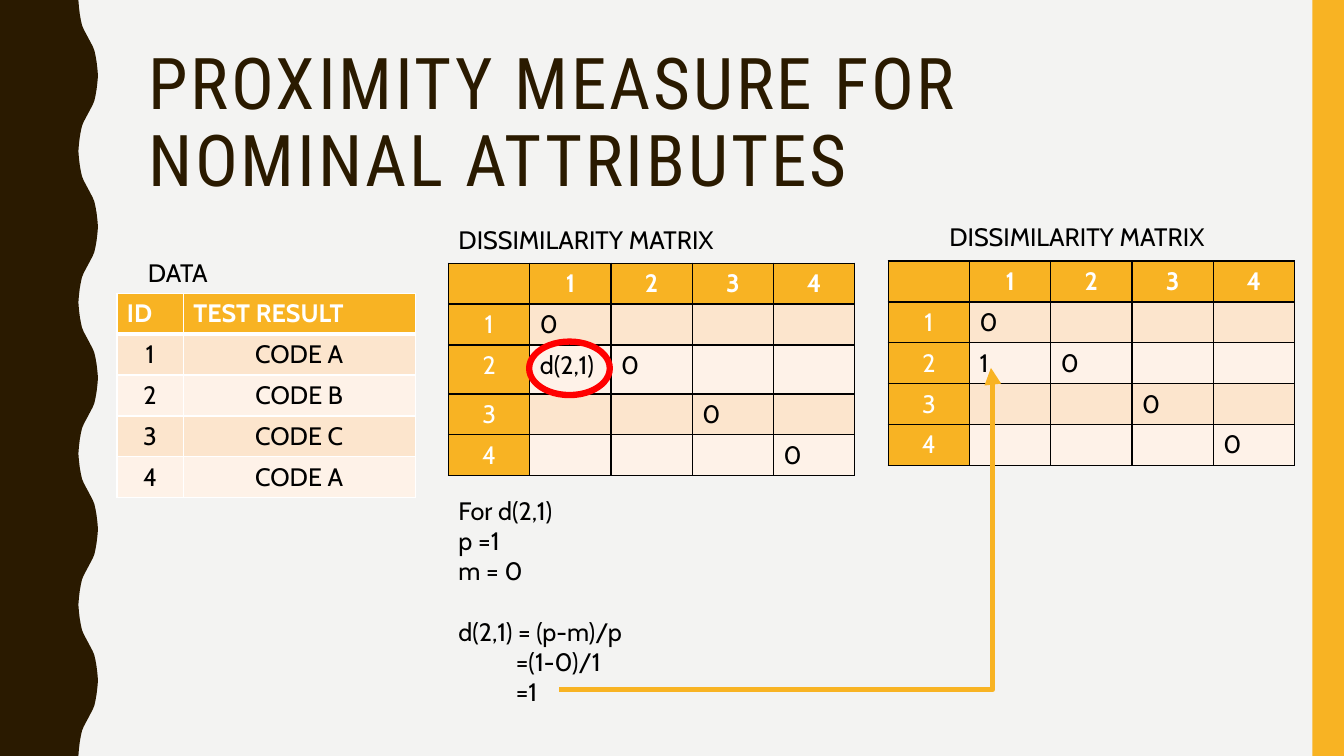
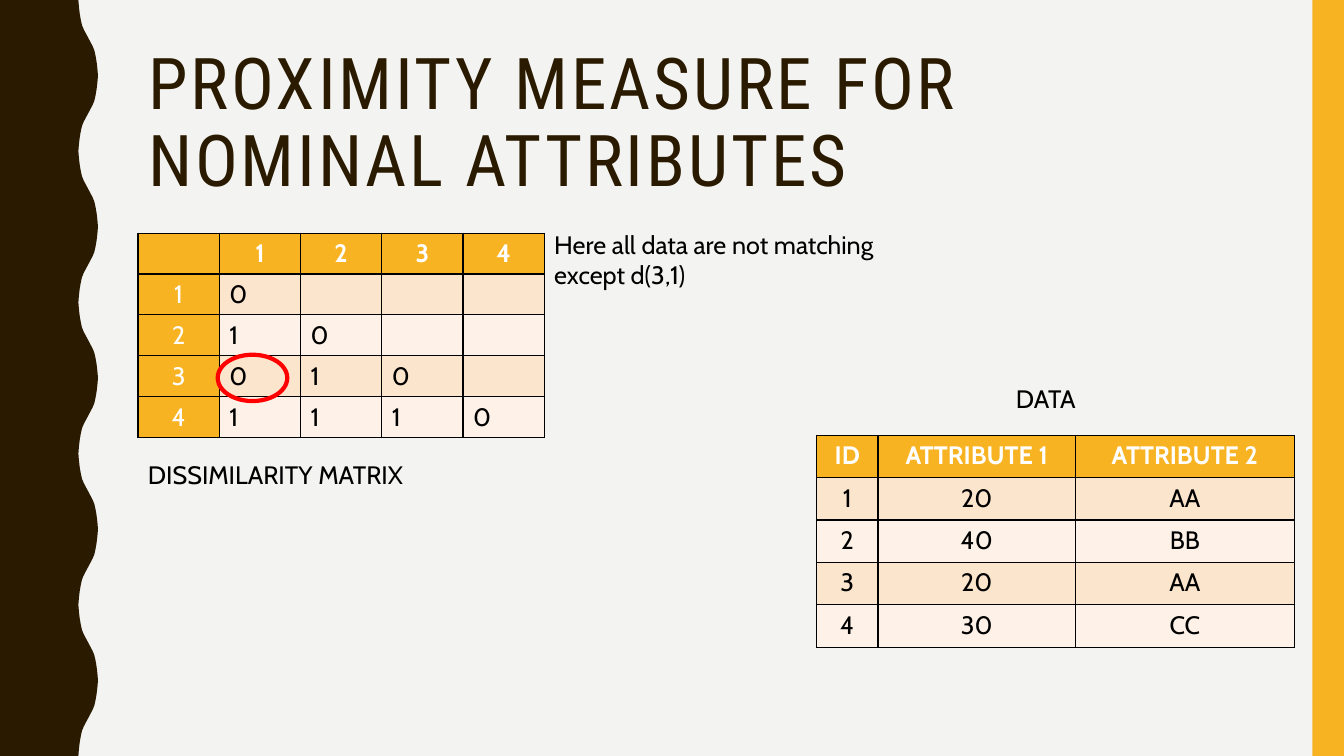
from dataclasses import dataclass

import pptx
import pptx.dml.color
import pptx.enum.shapes
import pptx.enum.text
import pptx.oxml
import pptx.oxml.ns
import pptx.util
from lxml import etree

Pt = pptx.util.Pt
qn = pptx.oxml.ns.qn
Align = pptx.enum.text.PP_ALIGN
Preset = pptx.enum.shapes.MSO_SHAPE


@dataclass(frozen=True)
class Theme:
    paper: str = "F3F3F2"
    brown: str = "2A1A00"
    amber: str = "F8B323"
    bands: tuple = ("FCE5CD", "FEF2E8")
    ink: str = "000000"
    white: str = "FFFFFF"
    red: str = "FF0000"
    title_font: str = "Roboto Condensed"
    text_font: str = "Cabin"
    title_size: float = 51
    text_size: float = 18


THEME = Theme()
WIDTH, HEIGHT = 960, 540
LEFT = 98.6
TITLE_BOX = (LEFT, 30.2, 801.4, 117.4)
SIDE_BAND = 22.5
# One rising eighth of the wave as (x, y); the rest follows by symmetry.
WAVE_CURVE = [(56, 0), (56.4, 5), (57, 10), (57.8, 14.5),
              (58.6, 18), (59.8, 21), (61.4, 24), (63, 27)]
WAVE_PERIOD = 108
MATRIX_COLUMN = 58.05
LABEL_HEIGHT = 29
ROW = 29.2
INDENT = 41

TITLE = "PROXIMITY MEASURE FOR NOMINAL ATTRIBUTES"
MATRIX_LABEL = "DISSIMILARITY MATRIX"

# A line is (text, left indent, space before).
WORKING = [
    ("For d(2,1)", 0, 0),
    ("p =1", 0, 0),
    ("m = 0", 0, 0),
    ("d(2,1) = (p-m)/p", 0, 21.8),
    ("=(1-0)/1", INDENT, 0),
    ("=1", INDENT, 0),
]

SLIDES = [
    {
        "data": {
            "at": (83.5, 209.5), "columns": (47.4, 165.6), "row": ROW,
            "border": THEME.white, "header_align": Align.LEFT, "header_rule": 3,
            "rows": [("ID", "TEST RESULT"), ("1", "CODE A"), ("2", "CODE B"),
                     ("3", "CODE C"), ("4", "CODE A")],
        },
        "matrices": [
            {"at": (320.4, 188), "heights": (29, 29, 35, 29, 29),
             "triangle": [("0",), ("d(2,1)", "0"), ("", "", "0"), ("", "", "", "0")]},
            {"at": (634.5, 186.5), "heights": (ROW,) * 5,
             "triangle": [("0",), ("1", "0"), ("", "", "0"), ("", "", "", "0")]},
        ],
        "texts": [
            ((LEFT, 180, 183.6, LABEL_HEIGHT), [("DATA", 0, 0)]),
            ((320.4, 157, 265, LABEL_HEIGHT), [(MATRIX_LABEL, 0, 0)]),
            ((671, 154.6, 265, LABEL_HEIGHT), [(MATRIX_LABEL, 0, 0)]),
            ((320.4, 350, 213, 160), WORKING),
        ],
        "ring": ((378, 244, 57.6, 38.2), 4.5),
        "arrow": ((399.6, 492.5), (707.8, 262.8)),
    },
    {
        "data": {
            "at": (583.2, 311), "columns": (44, 141, 156.3), "row": 30.25,
            "border": THEME.ink, "header_align": Align.CENTER, "header_rule": 1,
            "rows": [("ID", "ATTRIBUTE 1", "ATTRIBUTE 2"), ("1", "20", "AA"),
                     ("2", "40", "BB"), ("3", "20", "AA"), ("4", "30", "CC")],
        },
        "matrices": [
            {"at": (LEFT, 166.5), "heights": (ROW,) * 5,
             "triangle": [("0",), ("1", "0"), ("0", "1", "0"), ("1", "1", "1", "0")]},
        ],
        "texts": [
            ((LEFT, 324.7, 265, LABEL_HEIGHT), [(MATRIX_LABEL, 0, 0)]),
            ((388.8, 160, 265, 51), [("Here all data are not matching except d(3,1)", 0, 0)]),
            ((718.6, 270, 142.6, LABEL_HEIGHT), [("DATA", 0, 0)]),
        ],
        "ring": ((155.5, 253.4, 49.7, 33.1), 3),
        "arrow": None,
    },
]


def rgb(value):
    return pptx.dml.color.RGBColor.from_string(value)


def points(values):
    return [Pt(value) for value in values]


def add_run(paragraph, text, color=THEME.ink, bold=False):
    run = paragraph.add_run()
    run.text = text
    run.font.name = THEME.text_font
    run.font.size = Pt(THEME.text_size)
    run.font.bold = bold
    run.font.color.rgb = rgb(color)


def paint(shape, color):
    shape.shadow.inherit = False
    shape.fill.solid()
    shape.fill.fore_color.rgb = rgb(color)
    shape.line.fill.background()


def style_titles(master, layout):
    title = layout.placeholders[0]
    title.left, title.top, title.width, title.height = points(TITLE_BOX)
    level = master.element.find(".//" + qn("p:titleStyle") + "/" + qn("a:lvl1pPr"))
    level.set("algn", "l")
    spacing = etree.Element(qn("a:lnSpc"))
    etree.SubElement(spacing, qn("a:spcPct"), val="90000")
    level.insert(0, spacing)
    font = level.find(qn("a:defRPr"))
    font.set("sz", str(THEME.title_size * 100))
    font.set("spc", "200")
    for child in list(font):
        font.remove(child)
    fill = etree.SubElement(font, qn("a:solidFill"))
    etree.SubElement(fill, qn("a:srgbClr"), val=THEME.brown)
    etree.SubElement(font, qn("a:latin"), typeface=THEME.title_font)


def wave_outline():
    mirrored = [(126 - x, 54 - y) for x, y in reversed(WAVE_CURVE[:-1])]
    rise = WAVE_CURVE + mirrored
    fall = [(x, WAVE_PERIOD - y) for x, y in reversed(rise[:-1])]
    return [(x, y + start) for start in range(0, HEIGHT, WAVE_PERIOD)
            for x, y in rise + fall]


def add_bands(slide, layout):
    """Draw the two side bands and hand them to the layout, behind its title."""
    builder = slide.shapes.build_freeform(0, 0)
    builder.add_line_segments(
        [points(p) for p in wave_outline() + [(0, HEIGHT)]], close=True)
    wave = builder.convert_to_shape()
    paint(wave, THEME.brown)
    stripe = slide.shapes.add_shape(
        Preset.RECTANGLE, *points((WIDTH - SIDE_BAND, 0, SIDE_BAND, HEIGHT)))
    paint(stripe, THEME.amber)
    tree = layout.element.find(".//" + qn("p:spTree"))
    for band in (stripe, wave):
        tree.insert(2, band.element)


def set_borders(cell, color, top=1, bottom=1):
    properties = cell._tc.get_or_add_tcPr()
    for side, width in (("L", 1), ("R", 1), ("T", top), ("B", bottom)):
        line = etree.SubElement(properties, qn("a:ln" + side), w=str(Pt(width)))
        fill = etree.SubElement(line, qn("a:solidFill"))
        etree.SubElement(fill, qn("a:srgbClr"), val=color)


def add_grid(slide, at, columns, heights, rows, border, align_of,
             label_column=False, header_rule=1):
    table = slide.shapes.add_table(
        len(rows), len(columns), *points((*at, sum(columns), sum(heights)))).table
    table.horz_banding = False
    for column, width in zip(table.columns, columns):
        column.width = Pt(width)
    for r, values in enumerate(rows):
        table.rows[r].height = Pt(heights[r])
        for c, value in enumerate(values):
            cell = table.cell(r, c)
            set_borders(cell, border, header_rule if r == 1 else 1,
                        header_rule if r == 0 else 1)
            is_label = r == 0 or (label_column and c == 0)
            cell.fill.solid()
            cell.fill.fore_color.rgb = rgb(
                THEME.amber if is_label else THEME.bands[(r - 1) % 2])
            paragraph = cell.text_frame.paragraphs[0]
            paragraph.alignment = align_of(r, c)
            if value:
                add_run(paragraph, value, THEME.white if is_label else THEME.ink,
                        bold=r == 0)


def add_data(slide, data):
    rows = data["rows"]
    add_grid(slide, data["at"], data["columns"], [data["row"]] * len(rows), rows,
             data["border"],
             lambda r, c: data["header_align"] if r == 0 else Align.CENTER,
             header_rule=data["header_rule"])


def add_matrix(slide, matrix):
    triangle = matrix["triangle"]
    size = len(triangle)
    rows = [["", *(str(n + 1) for n in range(size))]]
    for number, values in enumerate(triangle, 1):
        rows.append([str(number), *values, *[""] * (size - len(values))])
    add_grid(slide, matrix["at"], [MATRIX_COLUMN] * (size + 1), matrix["heights"],
             rows, THEME.ink,
             lambda r, c: Align.CENTER if r == 0 or c == 0 else Align.LEFT,
             label_column=True)


def add_text(slide, box, lines):
    frame = slide.shapes.add_textbox(*points(box)).text_frame
    frame.word_wrap = True
    for index, (text, indent, before) in enumerate(lines):
        paragraph = frame.add_paragraph() if index else frame.paragraphs[0]
        if indent:
            paragraph._p.get_or_add_pPr().set("marL", str(Pt(indent)))
        if before:
            paragraph.space_before = Pt(before)
        add_run(paragraph, text)


def add_ring(slide, box, weight):
    ring = slide.shapes.add_shape(Preset.OVAL, *points(box))
    ring.shadow.inherit = False
    ring.fill.background()
    ring.line.color.rgb = rgb(THEME.red)
    ring.line.width = Pt(weight)


def add_arrow(slide, start, end):
    """Elbow that runs right along the bottom, then up to the end point."""
    arrow = slide.shapes.add_connector(
        pptx.enum.shapes.MSO_CONNECTOR.ELBOW, *points((*start, *end)))
    arrow.line.color.rgb = rgb(THEME.amber)
    arrow.line.width = Pt(4)
    properties = arrow.element.spPr
    geometry = properties.find(qn("a:prstGeom"))
    guides = geometry.find(qn("a:avLst"))
    if guides is None:
        guides = etree.SubElement(geometry, qn("a:avLst"))
    etree.SubElement(guides, qn("a:gd"), name="adj1", fmla="val 100400")
    etree.SubElement(properties.find(qn("a:ln")), qn("a:tailEnd"), type="triangle")
    etree.SubElement(properties, qn("a:effectLst"))


def main():
    deck = pptx.Presentation()
    deck.slide_width, deck.slide_height = points((WIDTH, HEIGHT))
    master, layout = deck.slide_master, deck.slide_layouts[5]
    master.background.fill.solid()
    master.background.fill.fore_color.rgb = rgb(THEME.paper)
    for placeholder in list(layout.placeholders)[1:]:
        placeholder.element.getparent().remove(placeholder.element)
    style_titles(master, layout)

    for number, content in enumerate(SLIDES):
        slide = deck.slides.add_slide(layout)
        if number == 0:
            add_bands(slide, layout)
        slide.shapes.title.text_frame.paragraphs[0].add_run().text = TITLE
        add_data(slide, content["data"])
        for matrix in content["matrices"]:
            add_matrix(slide, matrix)
        for box, lines in content["texts"]:
            add_text(slide, box, lines)
        if content["arrow"]:
            add_arrow(slide, *content["arrow"])
        add_ring(slide, *content["ring"])
    deck.save("out.pptx")


if __name__ == "__main__":
    main()
